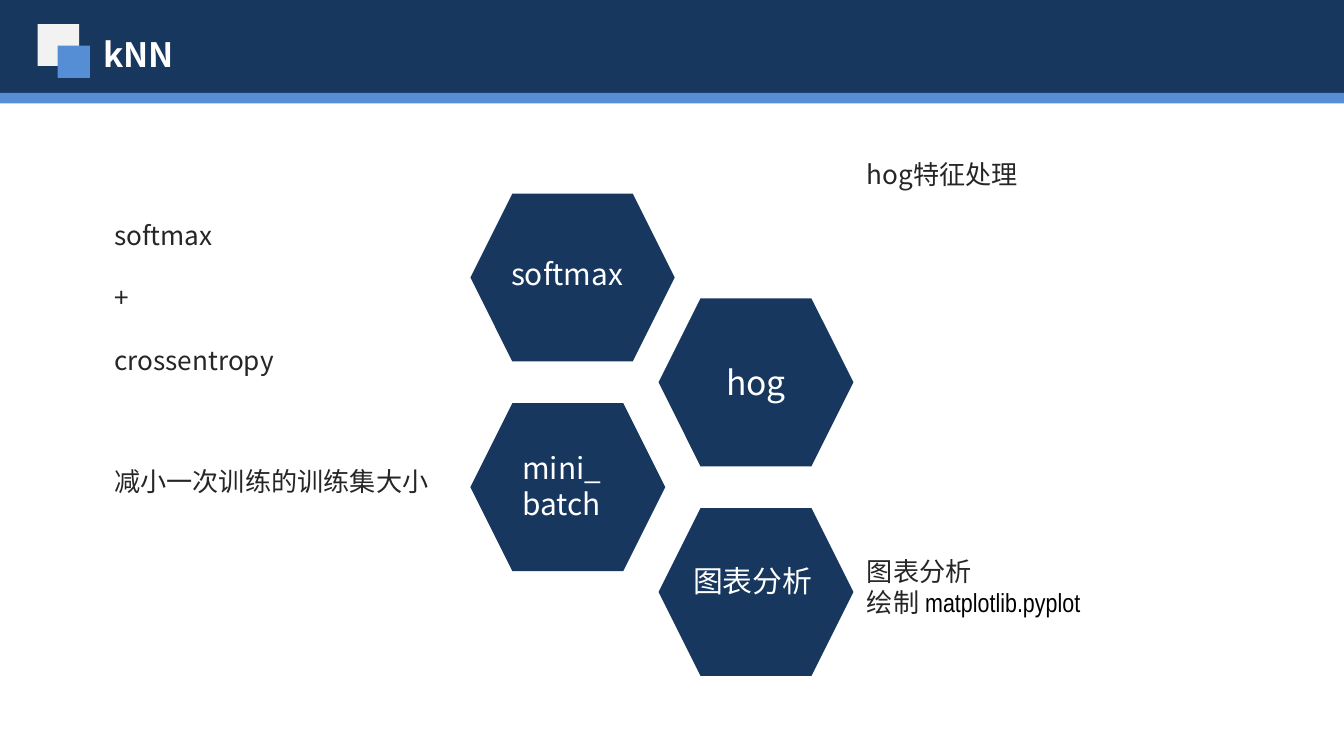
from dataclasses import dataclass

from lxml import etree
from pptx import Presentation
from pptx.dml.color import RGBColor
from pptx.enum.shapes import MSO_SHAPE
from pptx.enum.text import MSO_ANCHOR, MSO_AUTO_SIZE, PP_ALIGN
from pptx.oxml.ns import qn
from pptx.util import Inches, Pt

RECTANGLE, HEXAGON = MSO_SHAPE.RECTANGLE, MSO_SHAPE.HEXAGON
TOP, MIDDLE = MSO_ANCHOR.TOP, MSO_ANCHOR.MIDDLE
LEFT, CENTER = PP_ALIGN.LEFT, PP_ALIGN.CENTER
FIXED = MSO_AUTO_SIZE.NONE


@dataclass(frozen=True)
class Theme:
    navy: str = "17375E"
    blue: str = "558ED5"
    pale: str = "F2F2F2"
    white: str = "FFFFFF"
    ink: str = "262626"
    black: str = "000000"
    font: str = "Noto Sans CJK SC"
    narrow: str = "Arial Narrow"
    title: int = 18
    label: int = 16
    note: int = 14


THEME = Theme()
WIDTH = 10
HEIGHT = WIDTH * 9 / 16
COMPARISON_LAYOUT = 4

TITLE = "kNN"
TITLE_AT = (0.67, 0.2, 3.7, 0.4)
HEADER = [
    ((0, 0, WIDTH, 0.76), THEME.navy),
    ((0, 0.69, WIDTH, 0.08), THEME.blue),
    ((0.28, 0.18, 0.31, 0.31), THEME.pale),
    ((0.43, 0.34, 0.24, 0.24), THEME.blue),
]

COLUMNS = (3.5, 4.9)
FIRST_ROW, ROW_STEP = 1.44, 0.78
HEX_WIDTH, HEX_HEIGHT = 1.45, 1.25
STEPS = [
    {"text": "softmax", "width": 1.52, "label": (0.15, 0.41, 1.14, 0.37)},
    {"text": "hog"},
    {"text": "mini_ batch", "label": (0.15, 0.3, 1.06, 0.64)},
    {"text": "图表分析", "label": (0.12, 0.36, 1.16, 0.37)},
]

NOTE_LEFTS = (0.75, 6.35)
NOTE_WIDTHS = (2.59, 3.3)
NOTE_HEIGHT = 1.35
PLAIN = (THEME.font, THEME.ink)
CODE = (THEME.narrow, THEME.black)
NOTES = [
    {"column": 0, "top": 1.58, "gap": 16.7,
     "lines": [[("softmax", PLAIN)], [("+", PLAIN)], [("crossentropy", PLAIN)]]},
    {"column": 1, "top": 1.13, "gap": 0, "lines": [[("hog特征处理", PLAIN)]]},
    {"column": 0, "top": 3.41, "gap": 0, "lines": [[("减小一次训练的训练集大小", PLAIN)]]},
    {"column": 1, "top": 4.08, "gap": 0,
     "lines": [[("图表分析", PLAIN)], [("绘制 ", PLAIN), ("matplotlib.pyplot", CODE)]]},
]


def place(shape, at):
    shape.left, shape.top, shape.width, shape.height = map(Inches, at)


def add_shape(page, kind, at, color):
    shape = page.shapes.add_shape(kind, *map(Inches, at))
    shape.shadow.inherit = False
    shape.fill.solid()
    shape.fill.fore_color.rgb = RGBColor.from_string(color)
    shape.line.fill.background()
    return shape


def prepare(frame, anchor):
    frame.word_wrap = True
    frame.auto_size = FIXED
    frame.vertical_anchor = anchor


def add_span(para, text, size, font, color, bold=False):
    span = para.add_run()
    span.text = text
    span.font.size = Pt(size)
    span.font.bold = bold
    span.font.color.rgb = RGBColor.from_string(color)
    span.font.name = font
    east_asian = etree.SubElement(span.font._element, qn("a:ea"))
    east_asian.set("typeface", font)


def write_line(box, text, size, align, anchor, bold=False):
    prepare(box.text_frame, anchor)
    para = box.text_frame.paragraphs[0]
    para.alignment = align
    add_span(para, text, size, THEME.font, THEME.white, bold)


def add_header(page):
    for at, color in HEADER:
        add_shape(page, RECTANGLE, at, color)
    title = page.shapes.title
    place(title, TITLE_AT)
    write_line(title, TITLE, THEME.title, LEFT, TOP, bold=True)
    title.element.getparent().append(title.element)


def add_steps(page):
    for row, step in enumerate(STEPS):
        left = COLUMNS[row % len(COLUMNS)]
        top = FIRST_ROW + row * ROW_STEP
        at = (left, top, step.get("width", HEX_WIDTH), HEX_HEIGHT)
        hexagon = add_shape(page, HEXAGON, at, THEME.navy)
        if "label" in step:
            dx, dy, width, height = step["label"]
            box = page.shapes.add_textbox(
                *map(Inches, (left + dx, top + dy, width, height)))
            write_line(box, step["text"], THEME.label, CENTER, TOP)
        else:
            write_line(hexagon, step["text"], THEME.title, CENTER, MIDDLE)


def fill_note(box, note):
    column = note["column"]
    place(box, (NOTE_LEFTS[column], note["top"], NOTE_WIDTHS[column], NOTE_HEIGHT))
    frame = box.text_frame
    prepare(frame, TOP)
    for index, line in enumerate(note["lines"]):
        para = frame.add_paragraph() if index else frame.paragraphs[0]
        para.alignment = LEFT
        para.space_before = Pt(note["gap"] if index else 0)
        properties = para._p.get_or_add_pPr()
        properties.set("marL", "0")
        properties.set("indent", "0")
        etree.SubElement(properties, qn("a:buNone"))
        for text, (font, color) in line:
            add_span(para, text, THEME.note, font, color)


def main():
    deck = Presentation()
    deck.slide_width, deck.slide_height = Inches(WIDTH), Inches(HEIGHT)
    page = deck.slides.add_slide(deck.slide_layouts[COMPARISON_LAYOUT])
    add_header(page)
    add_steps(page)
    for index, note in enumerate(NOTES, start=1):
        fill_note(page.placeholders[index], note)
    deck.save("out.pptx")


if __name__ == "__main__":
    main()
